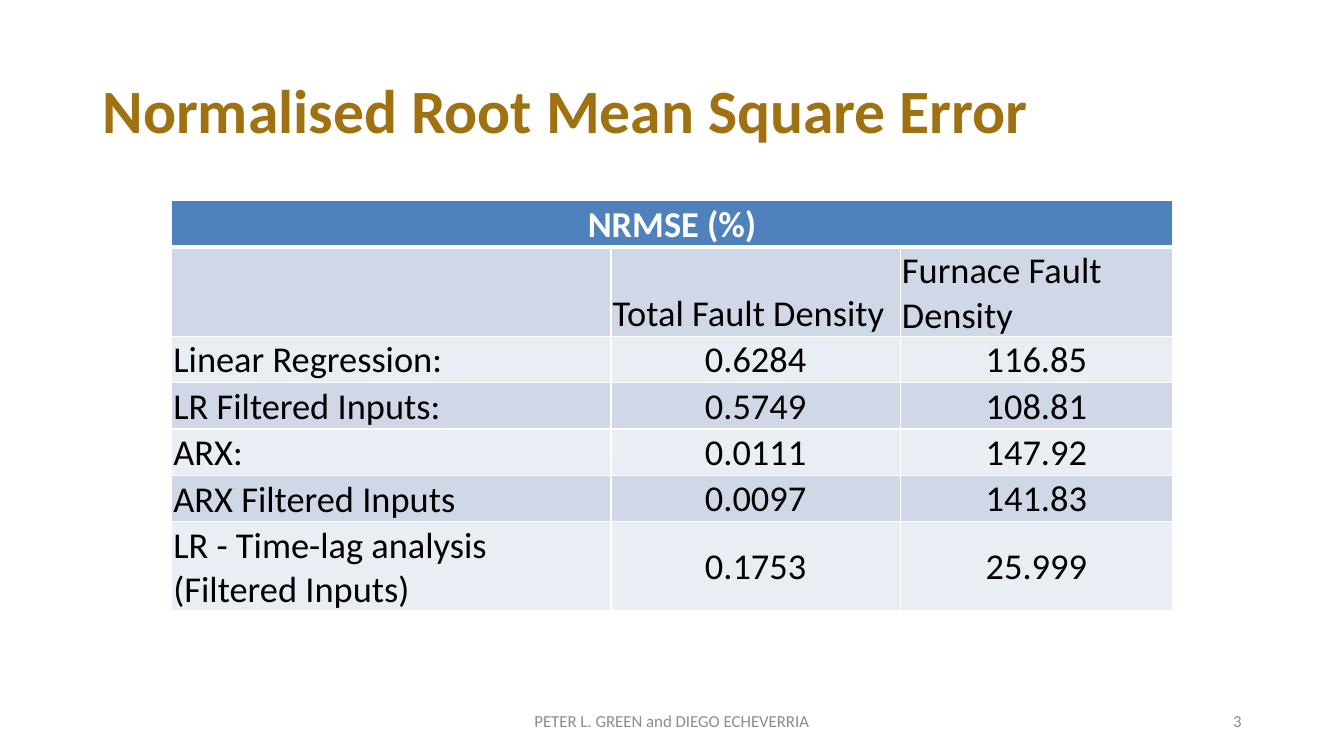
from lxml.etree import SubElement
from pptx import Presentation
from pptx.dml.color import RGBColor
from pptx.enum.text import MSO_ANCHOR as Anchor, PP_ALIGN as Align
from pptx.oxml.ns import qn
from pptx.util import Cm, Pt

FONT = "Calibri"
GOLD, GREY, WHITE, BLACK = "A07111", "8C8C8C", "FFFFFF", "000000"
HEADER_BLUE, BAND_DARK, BAND_LIGHT = "4F81BD", "D0D8E8", "E9EDF4"

TABLE_TITLE = "NRMSE (%)"
ROWS = [
    ("", "Total Fault Density", "Furnace Fault Density"),
    ("Linear Regression:", "0.6284", "116.85"),
    ("LR Filtered Inputs:", "0.5749", "108.81"),
    ("ARX:", "0.0111", "147.92"),
    ("ARX Filtered Inputs", "0.0097", "141.83"),
    ("LR - Time-lag analysis (Filtered Inputs)", "0.1753", "25.999"),
]
COLUMN_WIDTHS = (11.07, 7.29, 6.86)
LINE_HEIGHT, TWO_LINE_HEIGHT = 1.17, 2.08


def color(hex_string):
    return RGBColor.from_string(hex_string)


def write(frame, text, size, hex_color, bold=False, align=Align.LEFT):
    """Put one formatted paragraph in a text frame and return it."""
    frame.text = text
    frame.word_wrap = True
    para = frame.paragraphs[0]
    para.alignment = align
    for span in para.runs:
        span.font.name = FONT
        span.font.size = Pt(size)
        span.font.bold = bold
        span.font.color.rgb = color(hex_color)
    return para


def add_title(page, text):
    title = page.shapes.title
    title.left, title.top = Cm(2.33), Cm(1.01)
    title.width, title.height = Cm(29.21), Cm(3.68)
    para = write(title.text_frame, text, 44, GOLD, bold=True)
    para.line_spacing = 0.9
    title.text_frame.vertical_anchor = Anchor.MIDDLE


def add_footer(page, text, left, width, align):
    box = page.shapes.add_textbox(Cm(left), Cm(17.65), Cm(width), Cm(1.01))
    para = write(box.text_frame, text, 12, GREY, align=align)
    para.space_after = Pt(6)
    box.text_frame.vertical_anchor = Anchor.MIDDLE


def set_borders(cell, bottom=1, top=1):
    """Draw white cell borders; they must come before the fill in the XML."""
    properties = cell._tc.get_or_add_tcPr()
    widths = {"a:lnL": 1, "a:lnR": 1, "a:lnT": top, "a:lnB": bottom}
    for tag, width in widths.items():
        line = SubElement(properties, qn(tag), w=str(Pt(width)))
        fill = SubElement(line, qn("a:solidFill"))
        SubElement(fill, qn("a:srgbClr"), val=WHITE)


def fill_cell(cell, text, background, hex_color=BLACK, bold=False,
              align=Align.LEFT, anchor=Anchor.BOTTOM):
    cell.margin_left = cell.margin_right = cell.margin_top = Cm(0.04)
    cell.margin_bottom = 0
    cell.vertical_anchor = anchor
    cell.fill.solid()
    cell.fill.fore_color.rgb = color(background)
    if text:
        write(cell.text_frame, text, 26, hex_color, bold, align)


def add_error_table(page):
    frame = page.shapes.add_table(len(ROWS) + 1, len(COLUMN_WIDTHS),
                                  Cm(4.33), Cm(5.06), Cm(25.22), Cm(10.01))
    table = frame.table
    for column, width in zip(table.columns, COLUMN_WIDTHS):
        column.width = Cm(width)
    table.rows[0].height = Cm(LINE_HEIGHT)

    # Header across all columns
    for column in range(len(COLUMN_WIDTHS)):
        set_borders(table.cell(0, column), bottom=3)
    table.cell(0, 0).merge(table.cell(0, len(COLUMN_WIDTHS) - 1))
    fill_cell(table.cell(0, 0), TABLE_TITLE, HEADER_BLUE, WHITE,
              bold=True, align=Align.CENTER)

    # Column names, then one banded row per model
    last = len(ROWS)
    for row, texts in enumerate(ROWS, start=1):
        tall = row in (1, last)
        table.rows[row].height = Cm(TWO_LINE_HEIGHT if tall else LINE_HEIGHT)
        background = BAND_DARK if row % 2 else BAND_LIGHT
        for column, text in enumerate(texts):
            cell = table.cell(row, column)
            is_value = row > 1 and column > 0
            set_borders(cell, top=3 if row == 1 else 1)
            fill_cell(cell, text, background,
                      align=Align.CENTER if is_value else Align.LEFT,
                      anchor=Anchor.MIDDLE if is_value or row == last
                      else Anchor.BOTTOM)


def main():
    deck = Presentation()
    deck.slide_width, deck.slide_height = Cm(33.87), Cm(19.05)
    page = deck.slides.add_slide(deck.slide_layouts[5])
    add_title(page, "Normalised Root Mean Square Error")
    add_footer(page, "PETER L. GREEN and DIEGO ECHEVERRIA", 11.22, 11.43,
               Align.CENTER)
    add_footer(page, "3", 23.92, 7.62, Align.RIGHT)
    add_error_table(page)
    deck.save("out.pptx")


main()
